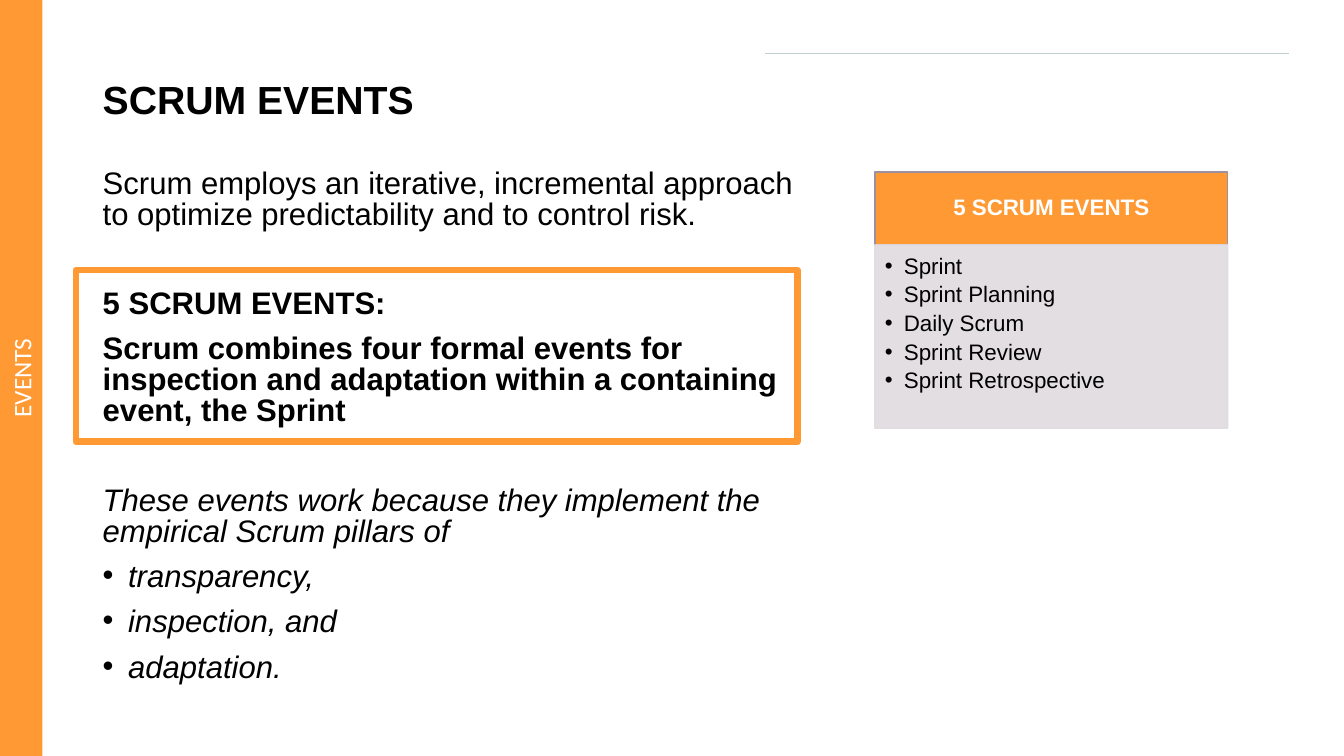
from lxml.etree import SubElement
from pptx import Presentation
from pptx.dml.color import RGBColor
from pptx.enum.shapes import MSO_CONNECTOR as CONN, MSO_SHAPE as SHAPE
from pptx.enum.text import MSO_ANCHOR as ANCHOR, PP_ALIGN as ALIGN
from pptx.oxml.ns import qn
from pptx.util import Cm, Pt

ORANGE, BLACK, WHITE = "FF9933", "000000", "FFFFFF"
PANEL_GREY = "DFDBDF"
PANEL_LEFT, PANEL_TOP, PANEL_WIDTH, HEADER_HEIGHT = 22.05, 4.34, 8.89, 1.83
PARA_GAP, SECTION_GAP = 10.3, 41.7
DEFAULT_INSETS = (0.25, 0.13, 0.25, 0.13)


def color(hex_code):
    return RGBColor.from_string(hex_code)


def set_alpha(color_format_owner, percent):
    """Make every solid colour below the given XML element translucent."""
    for clr in color_format_owner.iter(qn("a:srgbClr")):
        SubElement(clr, qn("a:alpha"), val=str(percent * 1000))


def add_rect(s, box, fill=None, line=None, width=1):
    sp = s.shapes.add_shape(SHAPE.RECTANGLE, *map(Cm, box))
    sp.shadow.inherit = False
    if fill:
        sp.fill.solid()
        sp.fill.fore_color.rgb = color(fill)
    else:
        sp.fill.background()
    if line:
        sp.line.color.rgb = color(line)
        sp.line.width = Pt(width)
    else:
        sp.line.fill.background()
    return sp


def add_rule(s, x1, x2, y, line, width):
    rule = s.shapes.add_connector(CONN.STRAIGHT, Cm(x1), Cm(y), Cm(x2), Cm(y))
    rule.line.color.rgb = color(line)
    rule.line.width = Pt(width)
    SubElement(rule._element.spPr, qn("a:effectLst"))


def setup_frame(sp, anchor=ANCHOR.TOP, insets=DEFAULT_INSETS):
    tf = sp.text_frame
    tf.word_wrap = True
    tf.vertical_anchor = anchor
    tf.margin_left, tf.margin_top, tf.margin_right, tf.margin_bottom = map(Cm, insets)
    return tf


def add_textbox(s, box, anchor=ANCHOR.TOP):
    return setup_frame(s.shapes.add_textbox(*map(Cm, box)), anchor)


def add_para(tf, text, size, hex_code=BLACK, font="Arial", bold=False, italic=False,
             align=ALIGN.LEFT, spacing=0.9, before=0, after=0, indent=None):
    """Append a paragraph; an indent in cm makes it a bullet."""
    p = tf.paragraphs[0]
    if p.runs:
        p = tf.add_paragraph()
    p.alignment = align
    p.line_spacing = spacing
    p.space_before, p.space_after = Pt(before), Pt(after)
    if indent:
        pPr = p._p.get_or_add_pPr()
        pPr.set("marL", str(Cm(indent)))
        pPr.set("indent", str(-Cm(indent)))
        SubElement(pPr, qn("a:buFont"), typeface="Arial")
        SubElement(pPr, qn("a:buChar"), char="•")
    r = p.add_run()
    r.text = text
    r.font.name, r.font.size = font, Pt(size)
    r.font.bold, r.font.italic = bold, italic
    r.font.color.rgb = color(hex_code)


def add_sidebar(s, text):
    tf = setup_frame(add_rect(s, (0, 0, 1.07, 19.05), ORANGE), ANCHOR.MIDDLE)
    tf._txBody.bodyPr.set("vert", "vert270")
    add_para(tf, text, 18, WHITE, "Calibri", align=ALIGN.CENTER, spacing=1.0)


def add_body(s):
    tf = add_textbox(s, (2.34, 4.14, 18.16, 13.03))
    paragraphs = [
        ("Scrum employs an iterative, incremental approach to optimize "
         "predictability and to control risk.", 0, {}),
        ("5 SCRUM EVENTS:", SECTION_GAP, {"bold": True}),
        ("Scrum combines four formal events for inspection and adaptation "
         "within a containing event, the Sprint", PARA_GAP, {"bold": True}),
        ("These events work because they implement the empirical Scrum "
         "pillars of", SECTION_GAP, {"italic": True}),
    ]
    for pillar in ("transparency,", "inspection, and", "adaptation."):
        paragraphs.append((pillar, PARA_GAP, {"italic": True, "indent": 0.64}))
    for text, before, style in paragraphs:
        add_para(tf, text, 22.2, spacing=0.83, before=before, **style)


def add_events_panel(s, heading, events):
    header = add_rect(s, (PANEL_LEFT, PANEL_TOP, PANEL_WIDTH, HEADER_HEIGHT),
                      ORANGE, "9D90A0")
    tf = setup_frame(header, ANCHOR.MIDDLE, (0.36, 0.2, 0.36, 0.2))
    add_para(tf, heading, 16, WHITE, bold=True, align=ALIGN.CENTER)

    panel = add_rect(s, (PANEL_LEFT, PANEL_TOP + HEADER_HEIGHT, PANEL_WIDTH, 4.62),
                     PANEL_GREY, PANEL_GREY)
    set_alpha(panel._element.spPr, 90)
    tf = setup_frame(panel, insets=(0.25, 0.25, 0.36, 0.41))
    for event in events:
        add_para(tf, event, 16, after=3.2, indent=0.48)


def main():
    prs = Presentation()
    prs.slide_width, prs.slide_height = Cm(33.87), Cm(19.05)
    s = prs.slides.add_slide(prs.slide_layouts[6])

    # Page frame
    add_rule(s, 19.28, 32.49, 1.35, "C1CFD3", 0.5)
    add_sidebar(s, "EVENTS")

    # Title and body text
    title = add_textbox(s, (2.34, 1.55, 29.21, 2.03), ANCHOR.MIDDLE)
    add_para(title, "SCRUM EVENTS", 28, bold=True)
    add_body(s)

    # Frame around the key statement
    add_rect(s, (1.91, 6.81, 18.19, 4.32), line=ORANGE, width=4.5)

    # List of events
    add_events_panel(s, "5 SCRUM EVENTS", [
        "Sprint", "Sprint Planning", "Daily Scrum", "Sprint Review",
        "Sprint Retrospective"])

    prs.save("out.pptx")


if __name__ == "__main__":
    main()
